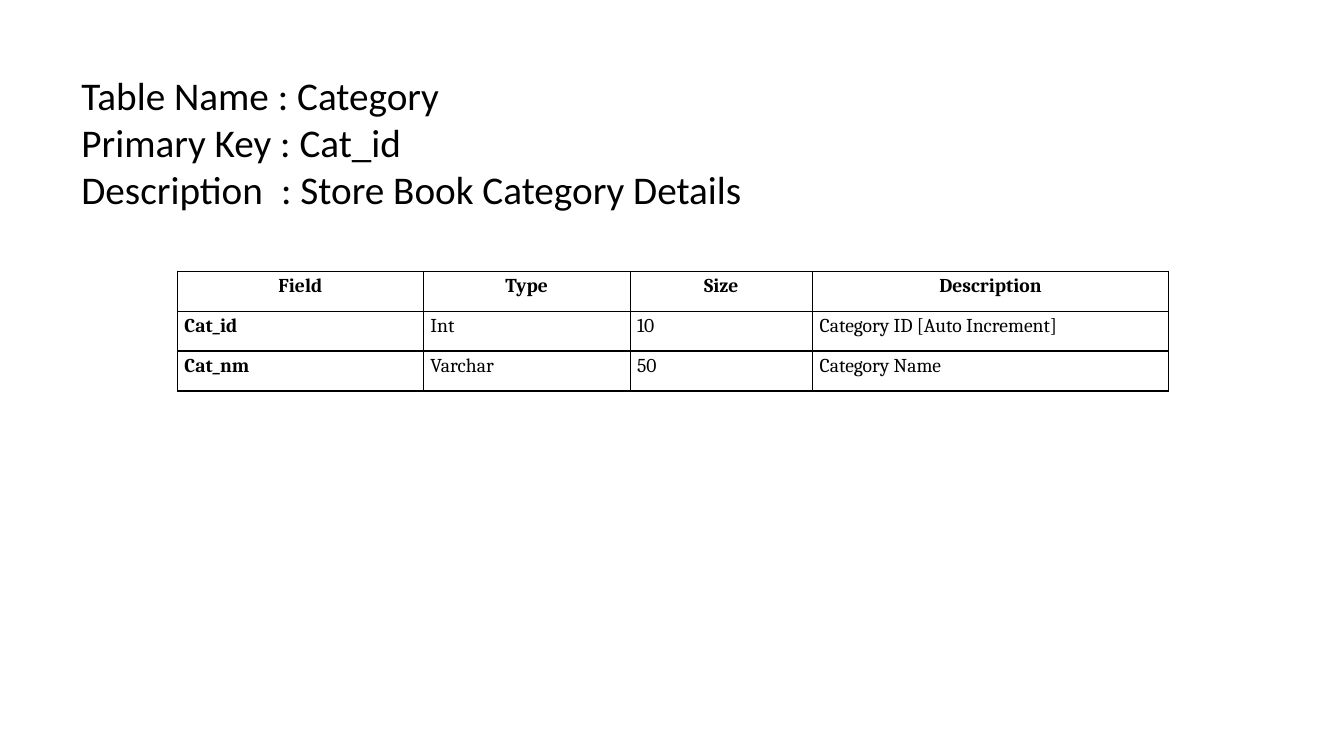
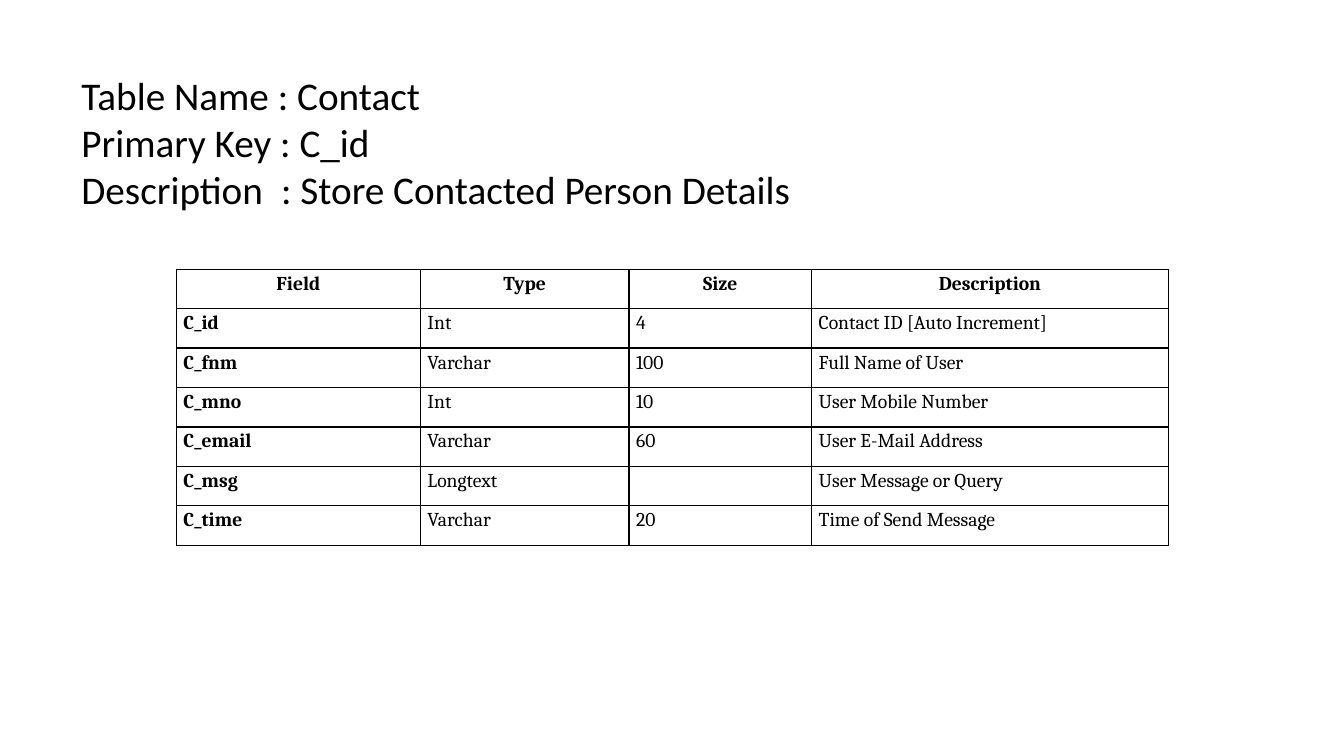
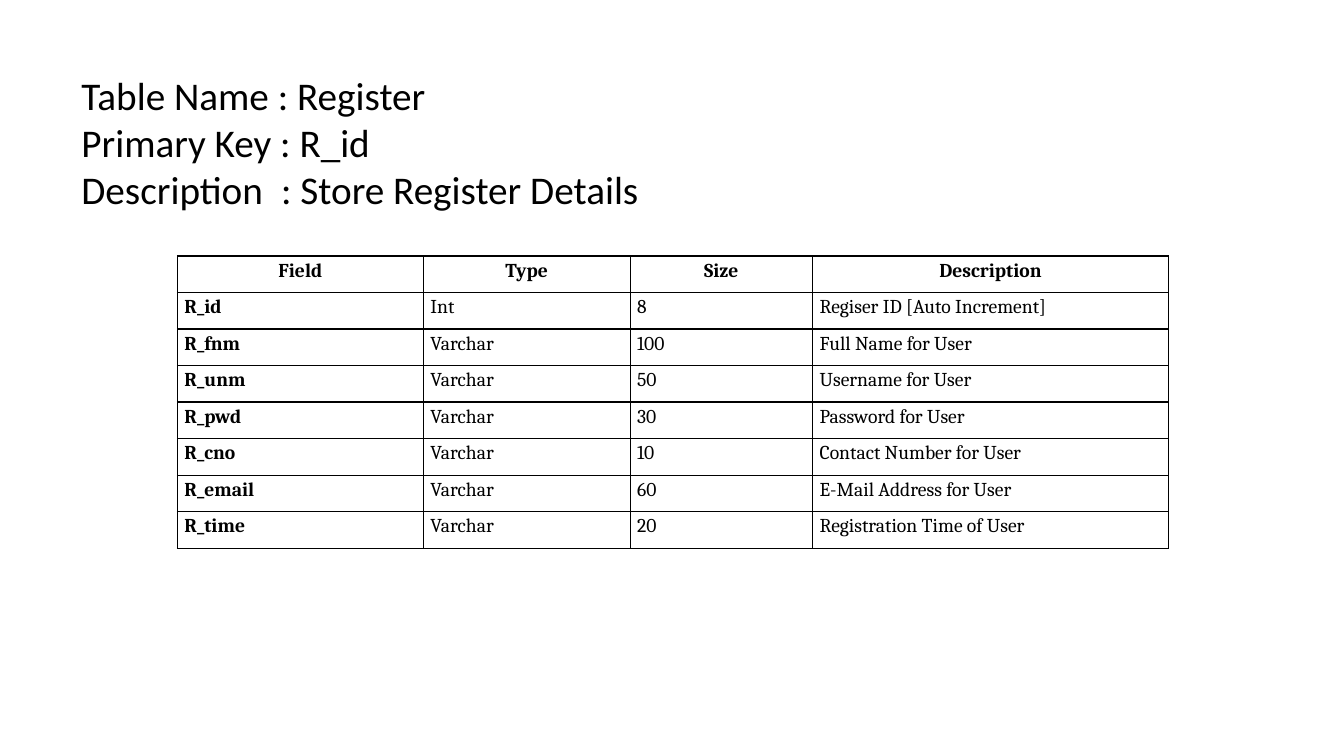
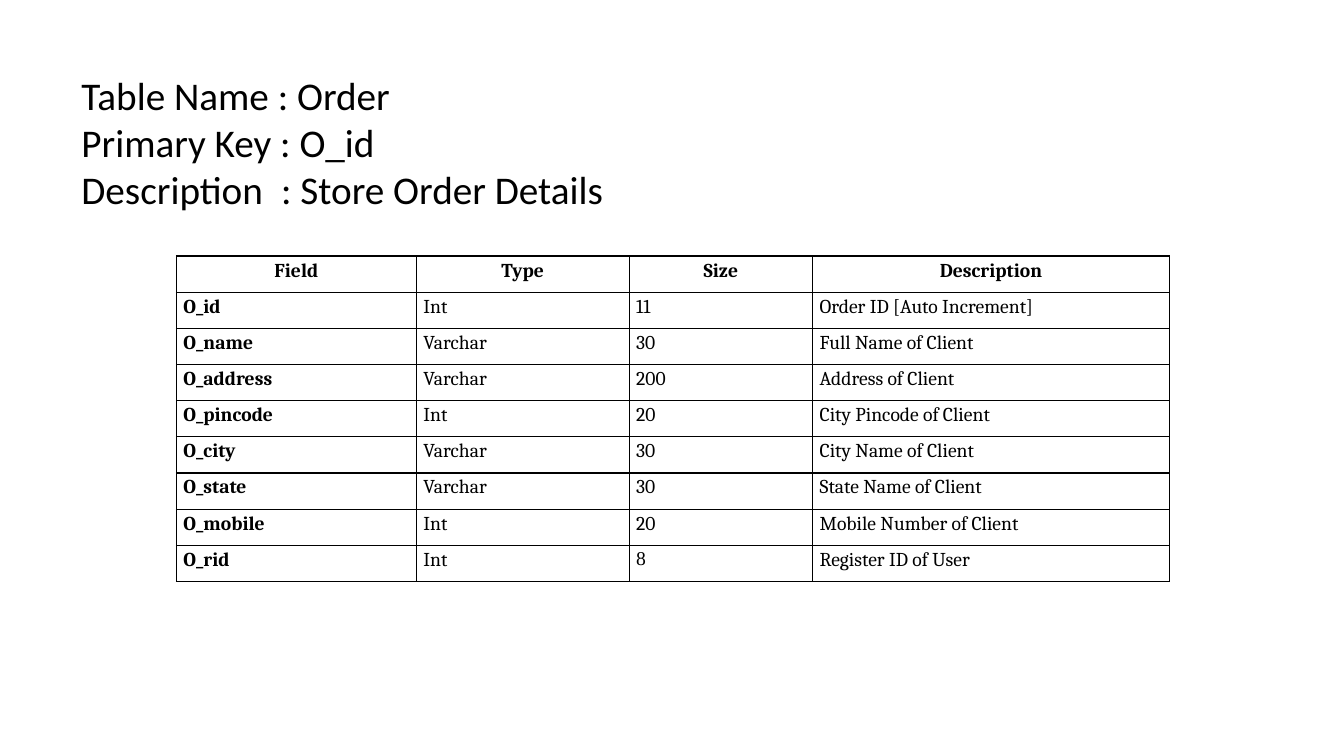
"""Build four slides that each describe one database table."""
from lxml import etree
from pptx import Presentation
from pptx import util as u
from pptx.dml.color import RGBColor
from pptx.enum import text
from pptx.oxml import ns

SCALE = 9144
INK = "000000"
TITLE = {"name": "Calibri", "size": u.Pt(28), "bold": False}
CELL = {"name": "Cambria", "size": u.Pt(14), "bold": False}
CELL_PARAGRAPH = {"line_spacing": 1.15, "space_after": u.Pt(10)}
HEADINGS = ("Field", "Type", "Size", "Description")


def px(n):
    return u.Emu(round(n * SCALE))


def rgb(code):
    return RGBColor.from_string(code)


def assign(target, values):
    for name, value in values.items():
        setattr(target, name, value)


class Deck:
    def __init__(self):
        self.prs = Presentation()
        assign(self.prs, {"slide_width": px(1333), "slide_height": px(750)})
        self.s = None

    def slide(self):
        self.s = self.prs.slides.add_slide(self.prs.slide_layouts[6])

    def run(self, p, words, style):
        r = p.add_run()
        r.text = words
        assign(r.font, style)
        r.font.color.rgb = rgb(INK)

    def tab_stop(self, p, pos):
        stops = etree.SubElement(p._p.get_or_add_pPr(), ns.qn("a:tabLst"))
        etree.SubElement(stops, ns.qn("a:tab"), pos=str(px(pos)), algn="l")

    def heading(self, name, key, about):
        sp = self.s.shapes.add_textbox(px(71), px(66), px(1183), px(151))
        tf = sp.text_frame
        assign(tf, {"word_wrap": True, "auto_size": text.MSO_AUTO_SIZE.SHAPE_TO_FIT_TEXT})
        lines = (f"Table Name : {name}", f"Primary Key : {key}", f"Description\t: {about}")
        for i, line in enumerate(lines):
            p = tf.add_paragraph() if i else tf.paragraphs[0]
            if "\t" in line:
                self.tab_stop(p, 198)
            p.alignment = text.PP_ALIGN.JUSTIFY
            self.run(p, line, TITLE)

    def borders(self, cell):
        tc_pr = cell._tc.get_or_add_tcPr()
        for side in ("lnL", "lnR", "lnT", "lnB"):
            ln = etree.SubElement(tc_pr, ns.qn(f"a:{side}"), w=str(u.Pt(1)))
            fill = etree.SubElement(ln, ns.qn("a:solidFill"))
            etree.SubElement(fill, ns.qn("a:srgbClr"), val=INK)

    def cell(self, cell, words, style, align):
        assign(cell, {"margin_left": px(7), "margin_right": px(7),
                      "margin_top": 0, "margin_bottom": 0})
        self.borders(cell)
        cell.fill.background()
        if words:
            p = cell.text_frame.paragraphs[0]
            assign(p, {**CELL_PARAGRAPH, "alignment": align})
            self.run(p, words, style)

    def table(self, left, top, height, widths, fields, fonts):
        rows = [HEADINGS, *fields]
        frame = self.s.shapes.add_table(len(rows), len(widths), px(left), px(top),
                                        px(sum(widths)), px(height))
        table = frame.table
        assign(table, {"first_row": False, "horz_banding": False})
        for column, width in zip(table.columns, widths):
            column.width = px(width)
        for i, row in enumerate(rows):
            table.rows[i].height = px(height / len(rows))
            align = text.PP_ALIGN.LEFT if i else text.PP_ALIGN.CENTER
            for j, words in enumerate(row):
                style = {**CELL, "bold": i == 0 or j == 0}
                style["name"] = fonts.get((i, j), CELL["name"])
                self.cell(table.cell(i, j), words, style, align)


TABLES = [
    {"heading": ("Category", "Cat_id", "Store Book Category Details"),
     "left": 176, "top": 269, "height": 119, "widths": (244, 205, 181, 353),
     "fields": [
         ("Cat_id", "Int", "10", "Category ID [Auto Increment]"),
         ("Cat_nm", "Varchar", "50", "Category Name")]},
    {"heading": ("Contact", "C_id", "Store Contacted Person Details"),
     "left": 175, "top": 267, "height": 274, "widths": (242, 207, 181, 354),
     "fields": [
         ("C_id", "Int", "4", "Contact ID [Auto Increment]"),
         ("C_fnm", "Varchar", "100", "Full Name of User"),
         ("C_mno", "Int", "10", "User Mobile Number"),
         ("C_email", "Varchar", "60", "User E-Mail Address"),
         ("C_msg", "Longtext", "", "User Message or Query"),
         ("C_time", "Varchar", "20", "Time of Send Message")]},
    {"heading": ("Register", "R_id", "Store Register Details"),
     "left": 176, "top": 254, "height": 290, "widths": (244, 205, 181, 353),
     "fields": [
         ("R_id", "Int", "8", "Regiser ID [Auto Increment]"),
         ("R_fnm", "Varchar", "100", "Full Name for User"),
         ("R_unm", "Varchar", "50", "Username for User"),
         ("R_pwd", "Varchar", "30", "Password for User"),
         ("R_cno", "Varchar", "10", "Contact Number for User"),
         ("R_email", "Varchar", "60", "E-Mail Address for User"),
         ("R_time", "Varchar", "20", "Registration Time of User")]},
    {"heading": ("Order", "O_id", "Store Order Details"),
     "left": 175, "top": 254, "height": 323, "widths": (238, 211, 182, 354),
     "fonts": {(8, 2): "Times New Roman"},
     "fields": [
         ("O_id", "Int", "11", "Order ID [Auto Increment]"),
         ("O_name", "Varchar", "30", "Full Name of Client"),
         ("O_address", "Varchar", "200", "Address of Client"),
         ("O_pincode", "Int", "20", "City Pincode of Client"),
         ("O_city", "Varchar", "30", "City Name of Client"),
         ("O_state", "Varchar", "30", "State Name of Client"),
         ("O_mobile", "Int", "20", "Mobile Number of Client"),
         ("O_rid", "Int", "8", "Register ID of User")]},
]


def main():
    deck = Deck()
    for t in TABLES:
        deck.slide()
        deck.heading(*t["heading"])
        deck.table(t["left"], t["top"], t["height"], t["widths"], t["fields"],
                   t.get("fonts", {}))
    deck.prs.save("out.pptx")


if __name__ == "__main__":
    main()
